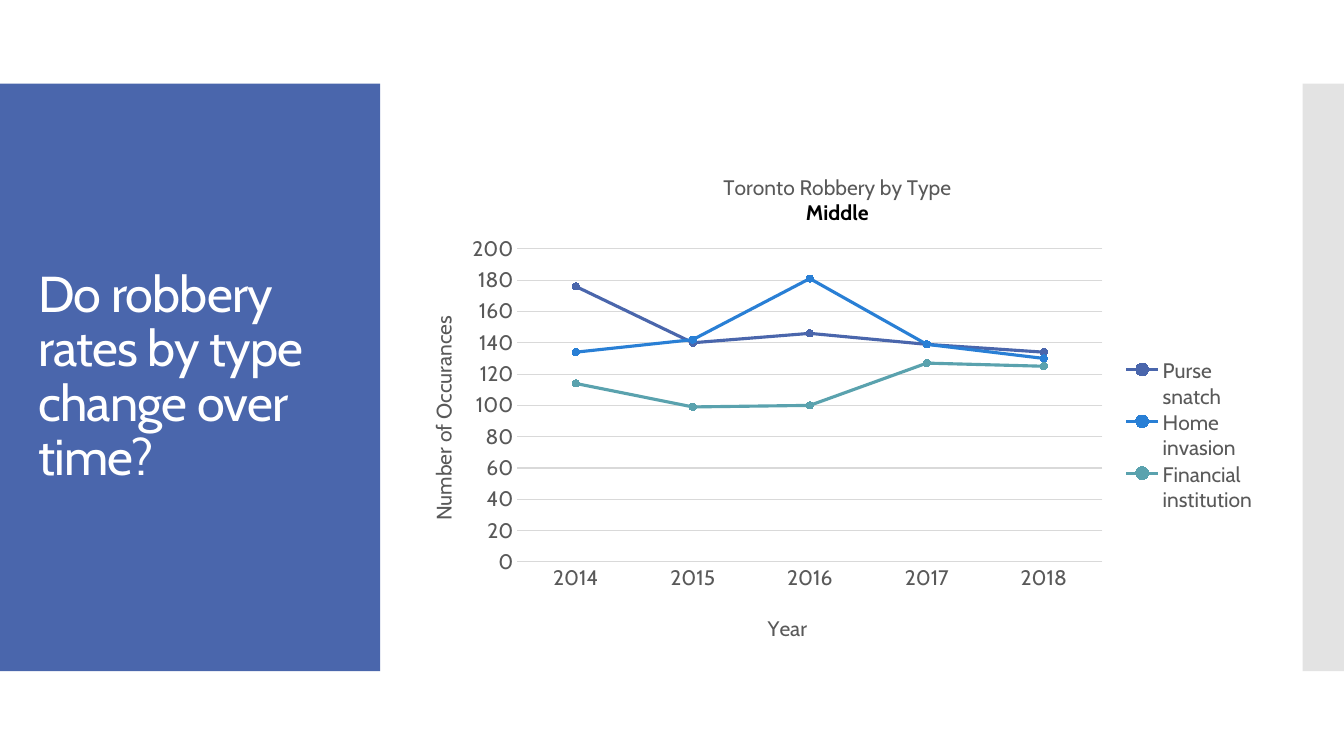
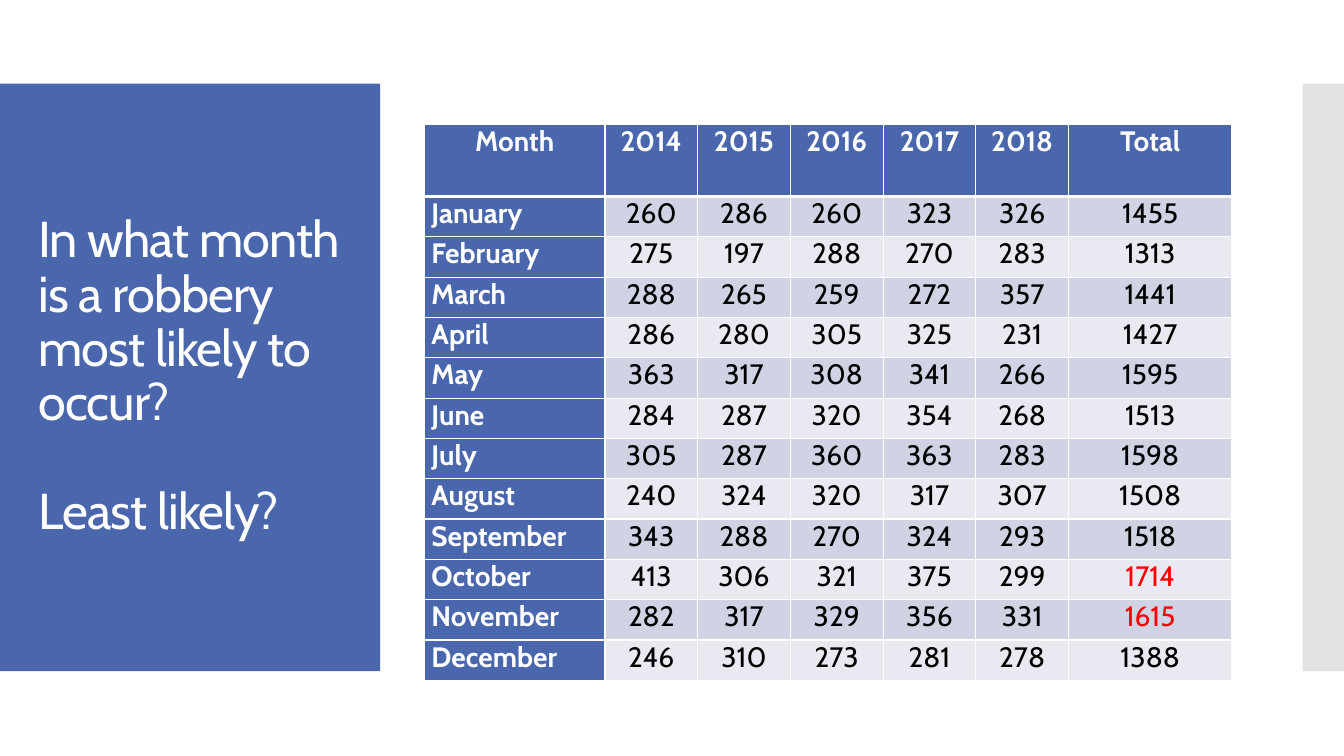
from lxml import etree
from pptx import Presentation
from pptx.chart.data import CategoryChartData
from pptx.dml.color import RGBColor
from pptx.enum.chart import XL_CHART_TYPE, XL_LEGEND_POSITION, XL_MARKER_STYLE, XL_TICK_MARK
from pptx.enum.shapes import MSO_SHAPE
from pptx.enum.text import MSO_ANCHOR, MSO_AUTO_SIZE, PP_ALIGN
from pptx.oxml import parse_xml
from pptx.oxml.ns import nsdecls, qn
from pptx.util import Inches, Pt

FONT = "Cabin"
COLORS = {
    "indigo": "4A66AC",
    "blue": "297FD5",
    "teal": "5AA2AE",
    "white": "FFFFFF",
    "black": "000000",
    "red": "FF0000",
    "gray": "595959",
    "grid": "D9D9D9",
    "edge": "C8C8C8",
    "odd_row": "D0D3E3",
    "even_row": "E9EAF1",
}
YEARS = ["2014", "2015", "2016", "2017", "2018"]
ROBBERY_TYPES = [
    ("Purse snatch", [176, 140, 146, 139, 134], "indigo"),
    ("Home invasion", [134, 142, 181, 139, 130], "blue"),
    ("Financial institution", [114, 99, 100, 127, 125], "teal"),
]
MONTHS = {
    "January": [260, 286, 260, 323, 326],
    "February": [275, 197, 288, 270, 283],
    "March": [288, 265, 259, 272, 357],
    "April": [286, 280, 305, 325, 231],
    "May": [363, 317, 308, 341, 266],
    "June": [284, 287, 320, 354, 268],
    "July": [305, 287, 360, 363, 283],
    "August": [240, 324, 320, 317, 307],
    "September": [343, 288, 270, 324, 293],
    "October": [413, 306, 321, 375, 299],
    "November": [282, 317, 329, 356, 331],
    "December": [246, 310, 273, 281, 278],
}
HIGH_TOTAL = 1600


def color(name):
    return RGBColor.from_string(COLORS[name])


def style_font(font, size, name, bold=False):
    font.name = FONT
    font.size = Pt(size)
    font.bold = bold
    font.color.rgb = color(name)


def add_span(para, text, size, name, bold=False):
    span = para.add_run()
    span.text = text
    style_font(span.font, size, name, bold)
    return span


def add_band(slide, left, width, name, alpha=100):
    band = slide.shapes.add_shape(
        MSO_SHAPE.RECTANGLE, Inches(left), Inches(0.83), Inches(width), Inches(5.83)
    )
    band.shadow.inherit = False
    band.fill.solid()
    band.fill.fore_color.rgb = color(name)
    band.line.fill.background()
    if alpha < 100:
        tint = band._element.spPr.find(".//" + qn("a:srgbClr"))
        etree.SubElement(tint, qn("a:alpha")).set("val", str(alpha * 1000))


def add_titled_page(deck, *lines):
    page = deck.slides.add_slide(deck.slide_layouts[5])
    add_band(page, 0, 3.77, "indigo")
    add_band(page, 12.92, 0.42, "edge", alpha=50)
    title = page.shapes.title
    page.shapes._spTree.append(title._element)
    title.left, title.top = Inches(0.28), Inches(1.23)
    title.width, title.height = Inches(3.22), Inches(5.03)
    frame = title.text_frame
    frame.word_wrap = True
    frame.auto_size = MSO_AUTO_SIZE.NONE
    frame.vertical_anchor = MSO_ANCHOR.MIDDLE
    for index, line in enumerate(lines):
        para = frame.add_paragraph() if index else frame.paragraphs[0]
        para.alignment = PP_ALIGN.LEFT
        para.line_spacing = 0.9
        para.space_before = Pt(39 if index else 0)
        span = add_span(para, line, 36, "white")
        span.font._element.set("spc", "-60")
    return page


def place(element, **fractions):
    for layout in element.findall(qn("c:layout")):
        element.remove(layout)
    layout = etree.Element(qn("c:layout"))
    manual = etree.SubElement(layout, qn("c:manualLayout"))
    if element.tag == qn("c:plotArea"):
        etree.SubElement(manual, qn("c:layoutTarget")).set("val", "inner")
    for key in ("x", "y"):
        etree.SubElement(manual, qn(f"c:{key}Mode")).set("val", "edge")
    for key, value in fractions.items():
        etree.SubElement(manual, qn(f"c:{key}")).set("val", str(value))
    overlay = element.find(qn("c:overlay"))
    if overlay is None:
        element.insert(0, layout)
    else:
        overlay.addprevious(layout)


def write_chart_title(title, x, y, *lines):
    frame = title.text_frame
    for index, (text, name, bold) in enumerate(lines):
        para = frame.add_paragraph() if index else frame.paragraphs[0]
        add_span(para, text, 15, name, bold)
    place(title._element, x=x, y=y)


def style_axis(axis, text, x, y):
    axis.major_tick_mark = axis.minor_tick_mark = XL_TICK_MARK.NONE
    style_font(axis.tick_labels.font, 15, "gray")
    write_chart_title(axis.axis_title, x, y, (text, "gray", False))


def style_line(line, name, width):
    line.color.rgb = color(name)
    line.width = Pt(width)


def style_series(series, name):
    series.smooth = False
    style_line(series.format.line, name, 2.25)
    marker = series.marker
    marker.style = XL_MARKER_STYLE.CIRCLE
    marker.size = 5
    marker.format.fill.solid()
    marker.format.fill.fore_color.rgb = color(name)
    marker.format.line.color.rgb = color(name)


def add_robbery_chart(page):
    data = CategoryChartData()
    data.categories = YEARS
    for label, values, _ in ROBBERY_TYPES:
        data.add_series(label, values)
    chart = page.shapes.add_chart(
        XL_CHART_TYPE.LINE_MARKERS,
        Inches(3.96), Inches(1.49), Inches(8.61), Inches(5.02), data,
    ).chart
    style_font(chart.font, 10, "black")
    chart.has_title = True
    write_chart_title(
        chart.chart_title, 0.37, 0.04,
        ("Toronto Robbery by Type", "gray", False), ("Middle", "black", True),
    )
    chart.plots[0].vary_by_categories = False
    for series, (_, _, name) in zip(chart.plots[0].series, ROBBERY_TYPES):
        style_series(series, name)
    style_axis(chart.category_axis, "Year", 0.42, 0.91)
    style_line(chart.category_axis.format.line, "grid", 0.75)
    counts = chart.value_axis
    style_axis(counts, "Number of Occurances", 0.03, 0.32)
    counts.minimum_scale, counts.maximum_scale, counts.major_unit = 0, 200, 20
    counts.format.line.fill.background()
    style_line(counts.major_gridlines.format.line, "grid", 0.75)
    chart.has_legend = True
    legend = chart.legend
    legend.position = XL_LEGEND_POSITION.RIGHT
    legend.include_in_layout = False
    style_font(legend.font, 15, "gray")
    place(legend._element, x=0.83, y=0.41, w=0.16, h=0.31)
    place(chart._chartSpace.chart.plotArea, x=0.136, y=0.195, w=0.674, h=0.619)


def set_borders(cell, top, bottom):
    properties = cell._tc.get_or_add_tcPr()
    for side, points in (("L", 1), ("R", 1), ("T", top), ("B", bottom)):
        properties.append(parse_xml(
            f'<a:ln{side} {nsdecls("a")} w="{Pt(points)}"><a:solidFill>'
            f'<a:srgbClr val="{COLORS["white"]}"/></a:solidFill></a:ln{side}>'
        ))


def fill_cell(cell, text, row, column):
    header = row == 0 or column == 0
    set_borders(cell, 3 if row == 1 else 1, 3 if row == 0 else 1)
    cell.fill.solid()
    band = "odd_row" if row % 2 else "even_row"
    cell.fill.fore_color.rgb = color("indigo" if header else band)
    cell.margin_left = cell.margin_right = Inches(0.07)
    cell.margin_top = cell.margin_bottom = 0
    para = cell.text_frame.paragraphs[0]
    para.alignment = PP_ALIGN.LEFT if row and column == 0 else PP_ALIGN.CENTER
    high = not header and int(text) > HIGH_TOTAL
    name = "white" if header else "red" if high else "black"
    add_span(para, text, 20, name, header)


def add_month_table(page):
    rows = [["Month", *YEARS, "Total"]]
    rows += [[month, *map(str, counts), str(sum(counts))] for month, counts in MONTHS.items()]
    widths = [1.79] + [0.92] * len(YEARS) + [1.62]
    heights = [0.72] + [0.4] * len(MONTHS)
    table = page.shapes.add_table(
        len(rows), len(widths), Inches(4.21), Inches(1.23),
        Inches(sum(widths)), Inches(sum(heights)),
    ).table
    table.first_col = True
    table.horz_banding = False
    for column, width in zip(table.columns, widths):
        column.width = Inches(width)
    for row, height in zip(table.rows, heights):
        row.height = Inches(height)
    for row, texts in enumerate(rows):
        for column, text in enumerate(texts):
            fill_cell(table.cell(row, column), text, row, column)


def main():
    deck = Presentation()
    deck.slide_width, deck.slide_height = Inches(13.33), Inches(7.5)
    add_robbery_chart(add_titled_page(deck, "Do robbery rates by type change over time?"))
    add_month_table(add_titled_page(
        deck, "In what month is a robbery most likely to occur?", "Least likely?"
    ))
    deck.save("out.pptx")


if __name__ == "__main__":
    main()
